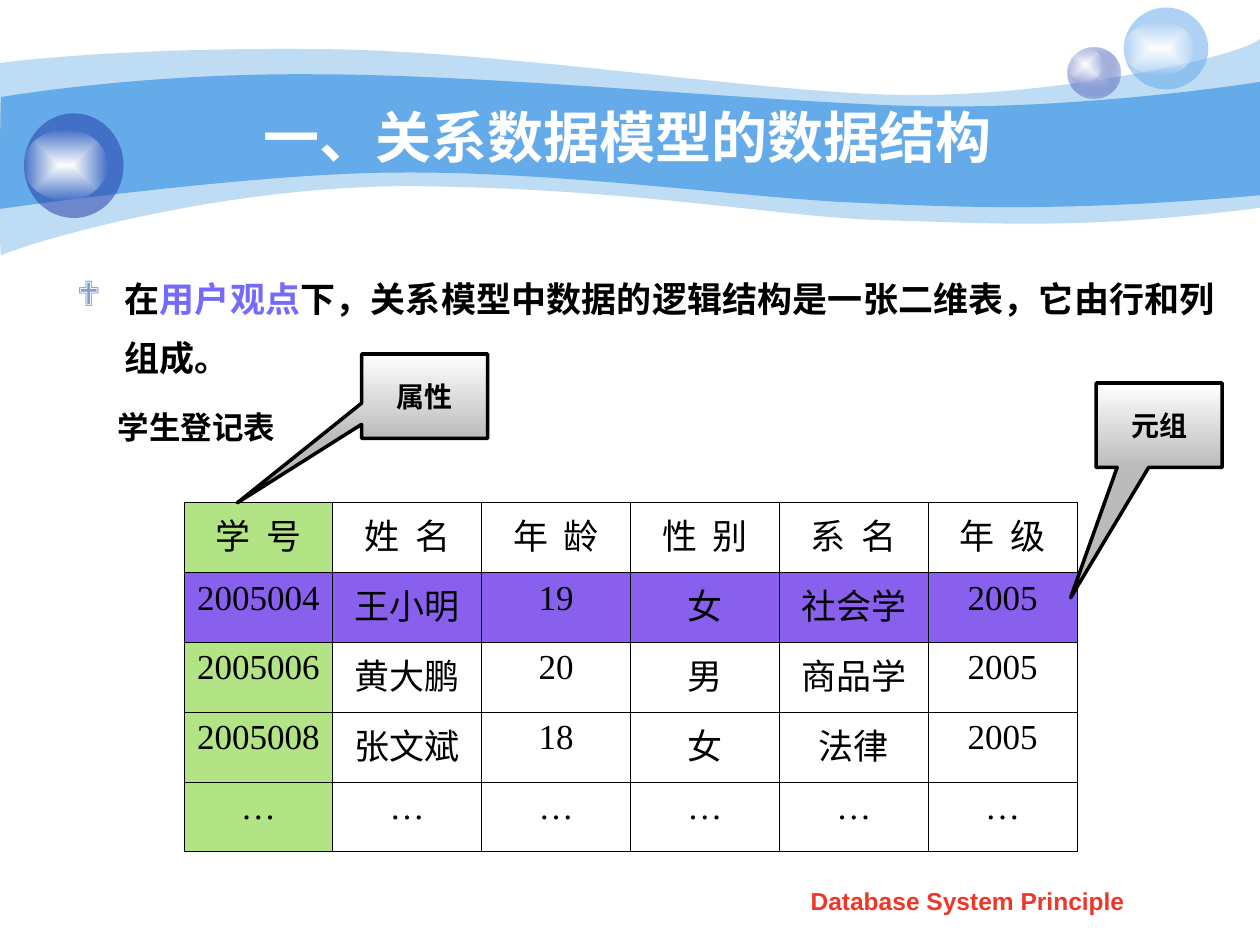
"""Build the slide on the data structure of the relational model."""
from lxml.etree import SubElement
from pptx import Presentation
from pptx.dml.color import RGBColor
from pptx.enum.shapes import MSO_SHAPE
from pptx.enum.text import MSO_ANCHOR, PP_ALIGN
from pptx.oxml.ns import qn
from pptx.util import Inches, Pt

SANS, SERIF = "Arial", "Times New Roman"
BLUE, NAVY, WHITE, BLACK = "65AAE9", "233DA9", "FFFFFF", "000000"
GREEN, PURPLE = "B2E385", "8960EE"
GLOW = [(0, WHITE, 100), (100, WHITE, 0)]

OUTER_WAVE = [
    [(0, 0.5)],
    [(0.24, 0.47), (1.07, 0.38), (2.47, 0.39)],
    [(3.86, 0.39), (5.75, 0.7), (6.99, 0.75)],
    [(8.22, 0.8), (9.8, 0.47), (10, 0.31)],
    [(10, 1.65)],
    [(8.58, 1.83), (7.87, 1.77), (7.05, 1.75)],
    [(6.22, 1.73), (5.15, 1.51), (3.43, 1.48)],
    [(1.72, 1.44), (0.04, 1.99), (0.01, 2.03)],
    [(-0.01, 2.08), (0, 0.75), (0, 0.5)],
]
INNER_WAVE = [
    [(0.01, 0.77)],
    [(0.02, 0.77), (1.1, 0.58), (2.48, 0.59)],
    [(3.86, 0.59), (5.95, 0.8), (7.18, 0.84)],
    [(8.41, 0.88), (9.76, 0.69), (10, 0.65)],
    [(10, 1.55)],
    [(8.53, 1.68), (7.65, 1.65), (6.82, 1.61)],
    [(5.99, 1.58), (4.47, 1.36), (3.17, 1.37)],
    [(2.03, 1.37), (-0.02, 1.66), (-0.01, 1.66)],
    [(0, 1.66), (0, 0.77), (0.01, 0.77)],
]
STUDENTS = [
    ["学  号", "姓  名", "年  龄", "性  别", "系  名", "年  级"],
    ["2005004", "王小明", "19", "女", "社会学", "2005"],
    ["2005006", "黄大鹏", "20", "男", "商品学", "2005"],
    ["2005008", "张文斌", "18", "女", "法律", "2005"],
    ["…"] * 6,
]


def color(value):
    """Turn a hex string into a colour."""
    return RGBColor.from_string(value)


def box(*lengths):
    """Turn lengths in inches into slide units."""
    return [Inches(length) for length in lengths]


def add_text(paragraph, text, size=20, font=SERIF, ink=BLACK, bold=False, align=PP_ALIGN.CENTER):
    """Append a formatted run to a paragraph."""
    paragraph.alignment = align
    run = paragraph.add_run()
    run.text = text
    run.font.size, run.font.name, run.font.bold = Pt(size), font, bold
    run.font.color.rgb = color(ink)


def set_alpha(color_element, percent):
    """Give a colour element its opacity."""
    SubElement(color_element, qn("a:alpha"), val=str(percent * 1000))


class SlideBuilder:
    """Hold the current slide and draw its elements in one style."""

    def __init__(self, slide):
        """Keep the slide to draw on."""
        self.slide = slide
        self.shapes = slide.shapes

    def solid(self, shape, fill, alpha=100):
        """Fill a shape with one colour and no outline."""
        shape.shadow.inherit = False
        shape.fill.solid()
        shape.fill.fore_color.rgb = color(fill)
        shape.line.fill.background()
        if alpha < 100:
            set_alpha(shape.element.spPr.find(qn("a:solidFill"))[0], alpha)

    def gradient(self, shape, stops, radial=True):
        """Fill a shape with a centred or downward gradient."""
        shape.shadow.inherit = False
        shape.line.fill.background()
        shape.fill.background()
        properties = shape.element.spPr
        empty_fill = properties.find(qn("a:noFill"))
        fill = SubElement(properties, qn("a:gradFill"), rotWithShape="1")
        properties.replace(empty_fill, fill)
        stop_list = SubElement(fill, qn("a:gsLst"))
        for position, value, alpha in stops:
            stop = SubElement(stop_list, qn("a:gs"), pos=str(position * 1000))
            set_alpha(SubElement(stop, qn("a:srgbClr"), val=value), alpha)
        if radial:
            direction = SubElement(fill, qn("a:path"), path="rect")
            SubElement(direction, qn("a:fillToRect"), dict.fromkeys("ltrb", "50000"))
        else:
            SubElement(fill, qn("a:lin"), ang="5400000", scaled="1")

    def wave(self, segments, alpha=100):
        """Draw a closed band from line and curve segments."""
        outline = [box(*point) for segment in segments for point in segment]
        builder = self.shapes.build_freeform(*outline[0])
        builder.add_line_segments(outline[1:], close=True)
        shape = builder.convert_to_shape()
        outline_element = next(shape.element.iter(qn("a:path")))
        steps = iter(outline_element.findall(qn("a:lnTo")))
        for segment in segments[1:]:
            first, *others = [next(steps) for _ in segment]
            if others:
                curve = SubElement(outline_element, qn("a:cubicBezTo"))
                outline_element.replace(first, curve)
                for step in (first, *others):
                    curve.append(step[0])
                for step in others:
                    outline_element.remove(step)
        self.solid(shape, BLUE, alpha)

    def ellipse(self, *place):
        """Add an ellipse."""
        return self.shapes.add_shape(MSO_SHAPE.OVAL, *box(*place))

    def title(self, text, *place):
        """Move the title above the bands and write it."""
        title = self.shapes.title
        title.element.getparent().append(title.element)
        title.left, title.top, title.width, title.height = box(*place)
        frame = title.text_frame
        frame.vertical_anchor = MSO_ANCHOR.MIDDLE
        frame.margin_right, frame.margin_top = box(0.22, 0.09)
        add_text(frame.paragraphs[0], text, size=32, font=SANS, ink=WHITE, bold=True)

    def text_box(self, *place, wrap=True):
        """Add a text box and return its first paragraph."""
        frame = self.shapes.add_textbox(*box(*place)).text_frame
        frame.word_wrap = wrap
        return frame.paragraphs[0]

    def bullet(self, runs, *place):
        """Add a bulleted paragraph of coloured runs."""
        paragraph = self.text_box(*place)
        paragraph.line_spacing = 1.4
        properties = paragraph._p.get_or_add_pPr()
        properties.set("marL", str(Inches(0.38)))
        properties.set("indent", str(Inches(-0.38)))
        bullet_color = SubElement(properties, qn("a:buClr"))
        SubElement(bullet_color, qn("a:srgbClr"), val="7DA0D3")
        SubElement(properties, qn("a:buFont"), typeface="Wingdings", charset="2")
        SubElement(properties, qn("a:buChar"), char="❖")
        for text, ink in runs:
            add_text(paragraph, text, font=SANS, ink=ink, bold=True, align=PP_ALIGN.JUSTIFY)

    def table(self, rows, *place):
        """Add a ruled table with a marked key column and tuple row."""
        table = self.shapes.add_table(len(rows), len(rows[0]), *box(*place)).table
        table.first_row = table.horz_banding = False
        for row_index, row in enumerate(rows):
            for column_index, text in enumerate(row):
                cell = table.cell(row_index, column_index)
                add_text(cell.text_frame.paragraphs[0], text)
                if row_index == 1 or column_index == 0:
                    cell.fill.solid()
                    cell.fill.fore_color.rgb = color(PURPLE if row_index == 1 else GREEN)
                else:
                    cell.fill.background()
                properties = cell._tc.get_or_add_tcPr()
                for index, side in enumerate(("lnL", "lnR", "lnT", "lnB")):
                    line = SubElement(properties, qn(f"a:{side}"), w=str(Pt(0.45)))
                    SubElement(SubElement(line, qn("a:solidFill")), qn("a:srgbClr"), val=BLACK)
                    properties.insert(index, line)

    def callout(self, text, left, top, tip):
        """Add a callout whose tip is offset from its centre."""
        shape = self.shapes.add_shape(MSO_SHAPE.RECTANGULAR_CALLOUT, *box(left, top, 1, 0.67))
        shape.adjustments[0], shape.adjustments[1] = tip
        self.gradient(shape, [(0, WHITE, 100), (100, "BBBBBB", 100)], radial=False)
        shape.line.color.rgb = color(BLACK)
        shape.line.width = Pt(2)
        shape.text_frame.vertical_anchor = MSO_ANCHOR.MIDDLE
        add_text(shape.text_frame.paragraphs[0], text, size=16, bold=True)


def main():
    """Compose and save the slide."""
    presentation = Presentation()
    presentation.slide_width, presentation.slide_height = box(10, 7.5)
    builder = SlideBuilder(presentation.slides.add_slide(presentation.slide_layouts[5]))
    builder.wave(OUTER_WAVE, alpha=41)
    builder.wave(INNER_WAVE)
    builder.gradient(builder.ellipse(8.47, 0.38, 0.42, 0.4), [(0, "C7CEE9", 100), (100, NAVY, 31)])
    builder.gradient(builder.ellipse(8.47, 0.38, 0.28, 0.27), GLOW)
    builder.solid(builder.ellipse(8.92, 0.06, 0.67, 0.65), BLUE, alpha=53)
    builder.gradient(builder.ellipse(8.92, 0.17, 0.56, 0.43), GLOW)
    builder.solid(builder.ellipse(0.19, 0.9, 0.79, 0.83), NAVY, alpha=53)
    builder.gradient(builder.ellipse(0.19, 1.03, 0.66, 0.56), GLOW)
    builder.title("一、关系数据模型的数据结构", 1, 0.75, 8.08, 0.62)
    builder.bullet([("在", BLACK), ("用户观点", "746AFC"),
                    ("下，关系模型中数据的逻辑结构是一张二维表，它由行和列组成。", BLACK)],
                   0.51, 2.02, 9.23, 1.1)
    builder.table(STUDENTS, 1.46, 3.99, 7.09, 2.77)
    add_text(builder.text_box(0.46, 3.19, 2.2, 0.4, wrap=False), "学生登记表", size=18, bold=True)
    builder.callout("属性", 2.87, 2.81, (-1.486, 1.263))
    builder.callout("元组", 8.7, 3.04, (-0.703, 2.044))
    add_text(builder.text_box(5.71, 6.98, 3.94, 0.35), "Database System Principle",
             size=14, font=SANS, ink="F03628", bold=True)
    presentation.save("out.pptx")


if __name__ == "__main__":
    main()
